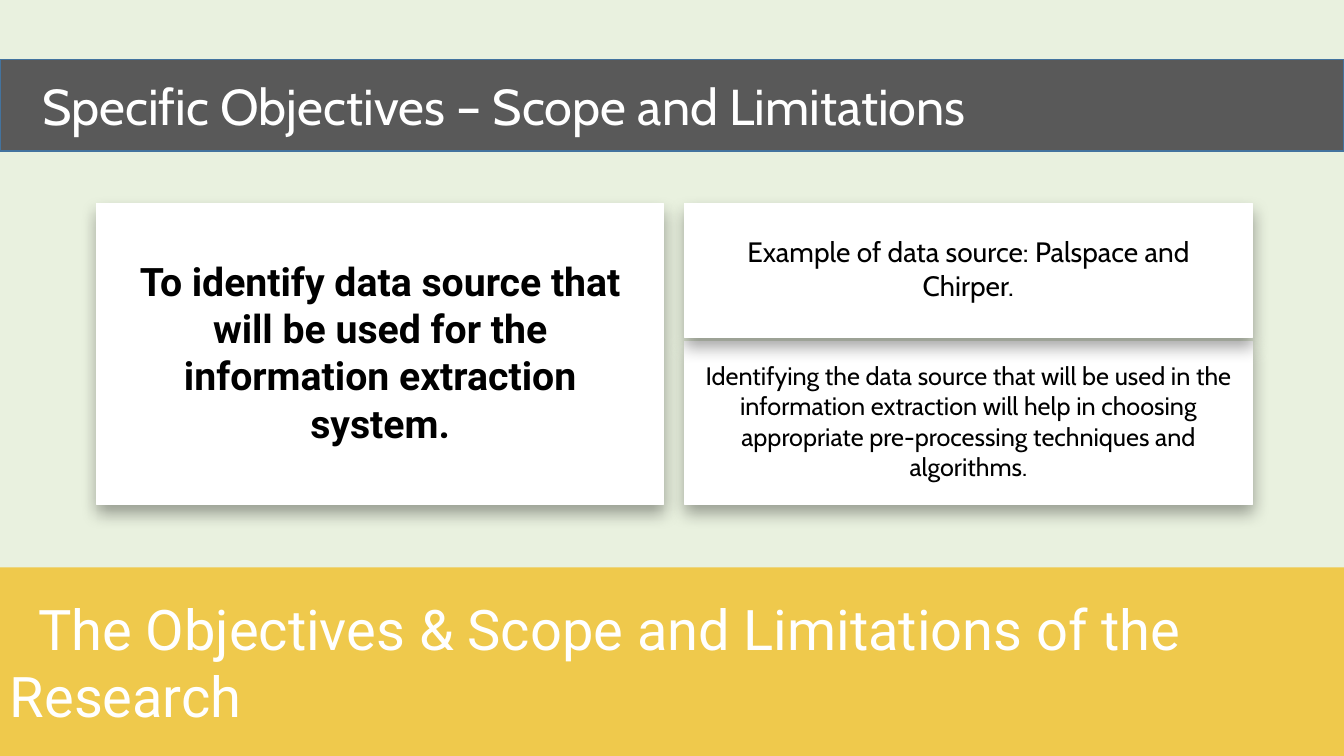
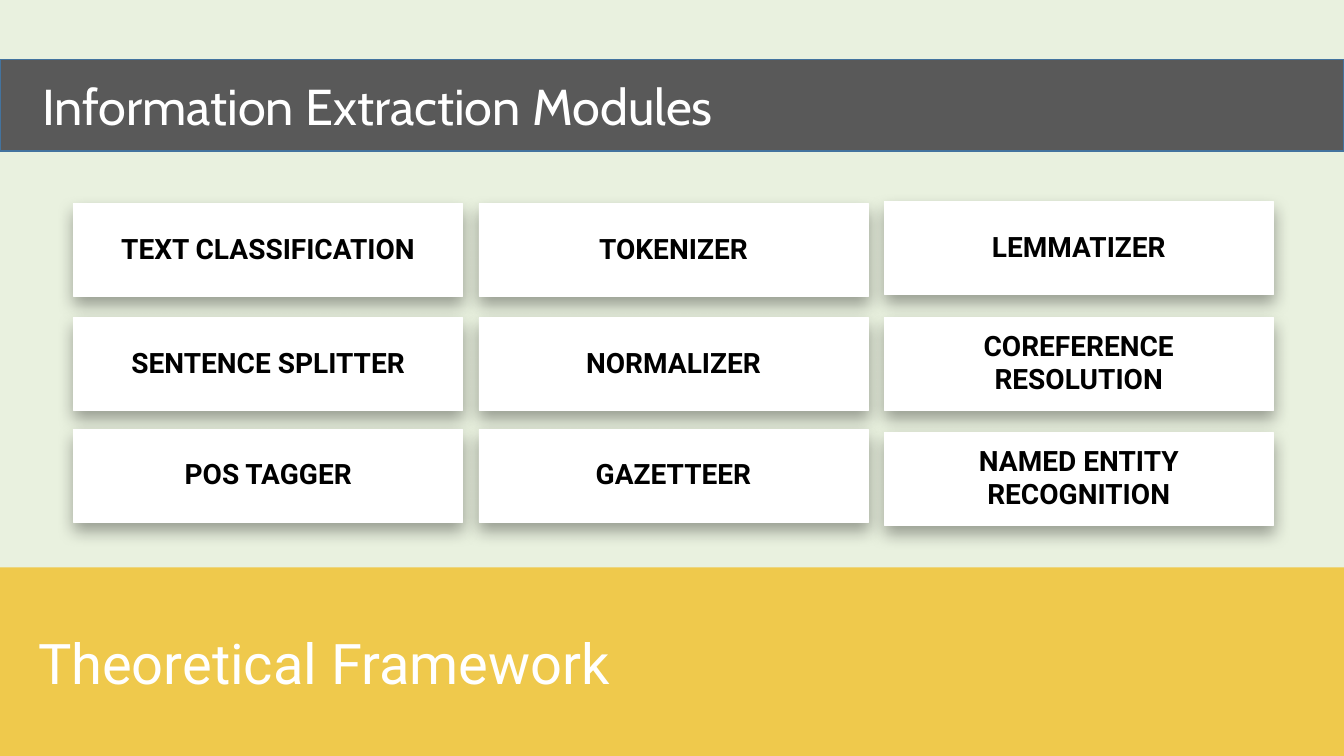
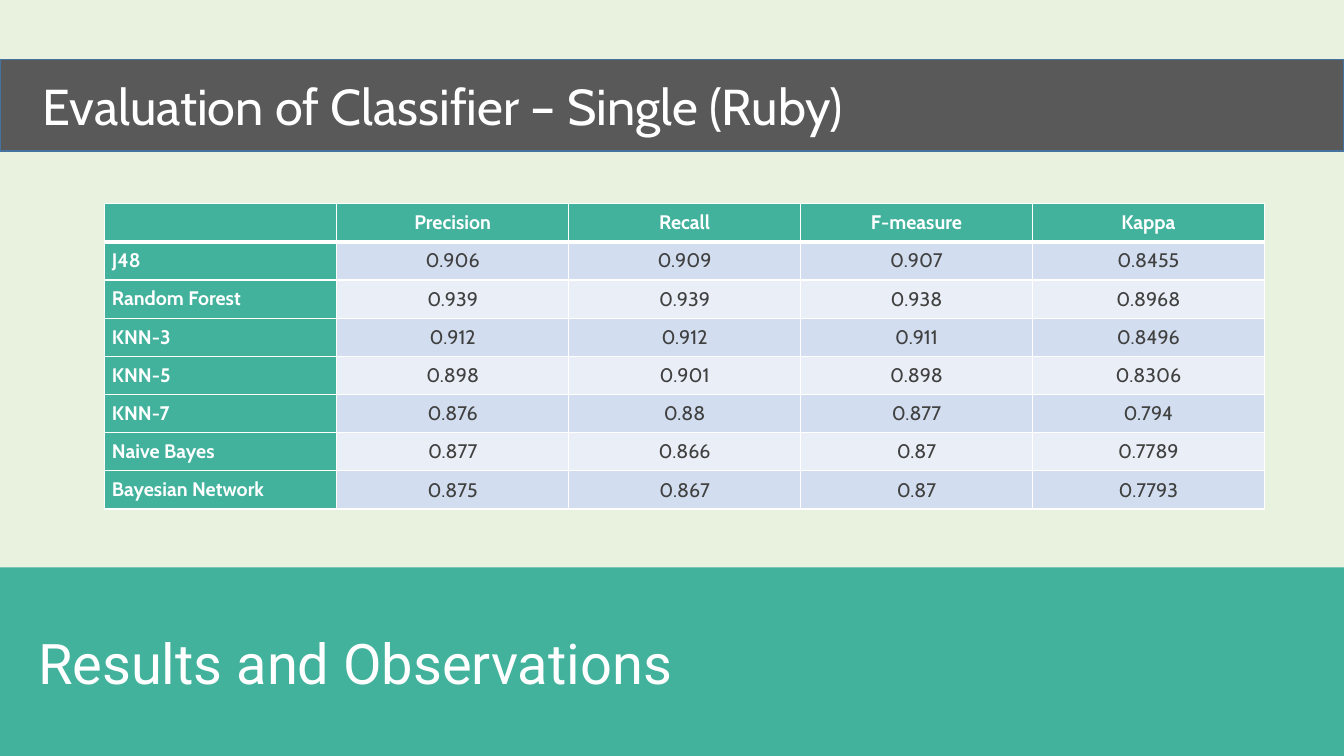
from lxml.etree import SubElement
from pptx import Presentation
from pptx.dml.color import RGBColor
from pptx.enum.shapes import MSO_SHAPE
from pptx.enum.text import MSO_ANCHOR, MSO_AUTO_SIZE, PP_ALIGN
from pptx.oxml import parse_xml
from pptx.oxml.ns import nsdecls, qn
from pptx.util import Inches, Pt

WHITE, BLACK, INK = "FFFFFF", "000000", "404040"
PAPER, GRAY, EDGE = "E9F1DF", "595959", "43739E"
GOLD, TEAL = "EFC94C", "42B29D"
STRIPES = "D2DEEF", "EAEFF7"
HEAD, BODY = "Roboto", "Cabin"
WIDTH = 13.33

SHADOW = (f'<a:effectLst {nsdecls("a")}><a:outerShdw blurRad="{Pt(12)}" '
          f'dist="{Pt(6)}" dir="5400000" algn="ctr" rotWithShape="0">'
          '<a:srgbClr val="000000"><a:alpha val="35000"/></a:srgbClr>'
          '</a:outerShdw></a:effectLst>')


def color(code):
    return RGBColor.from_string(code)


def paint(item, code):
    item.fill.solid()
    item.fill.fore_color.rgb = color(code)


class Deck:
    """Shared style and the current slide."""

    def __init__(self):
        self.prs = Presentation()
        self.prs.slide_width = Inches(WIDTH)
        self.prs.slide_height = Inches(7.5)
        paint(self.prs.slide_master.background, PAPER)

    def add(self, title, footer, tone):
        """Start a slide with its title band and section band."""
        self.slide = self.prs.slides.add_slide(self.prs.slide_layouts[5])
        band = self.box(0, 5.63, WIDTH, 1.87, tone)
        band.line.fill.background()
        self.label(band.text_frame, footer, 40, HEAD, WHITE, indent=0.28)

        head = self.slide.shapes.title
        head.left, head.top = Inches(0), Inches(0.59)
        head.width, head.height = Inches(WIDTH), Inches(0.91)
        paint(head, GRAY)
        self.edge(head, EDGE, 1)
        self.label(head.text_frame, title, 36, BODY, WHITE, indent=0.32)

    def box(self, x, y, w, h, fill):
        shape = self.slide.shapes.add_shape(
            MSO_SHAPE.RECTANGLE, Inches(x), Inches(y), Inches(w), Inches(h))
        shape.shadow.inherit = False
        paint(shape, fill)
        return shape

    def edge(self, shape, code, width):
        shape.line.color.rgb = color(code)
        shape.line.width = Pt(width)

    def label(self, frame, text, size, font, code, bold=False,
              align=PP_ALIGN.LEFT, indent=0):
        frame.text = text
        frame.word_wrap = True
        frame.auto_size = MSO_AUTO_SIZE.NONE
        frame.vertical_anchor = MSO_ANCHOR.MIDDLE
        self.style(frame.paragraphs[0], size, font, code, bold, align)
        if indent:
            props = frame.paragraphs[0]._p.get_or_add_pPr()
            props.set("marL", "0")
            props.set("indent", str(Inches(indent)))

    def style(self, para, size, font, code, bold, align):
        para.alignment = align
        for run in para.runs:
            run.font.size, run.font.name = Pt(size), font
            run.font.bold, run.font.color.rgb = bold, color(code)

    def card(self, x, y, w, h, text, size, font=HEAD, bold=True):
        """White card with a soft shadow and centred text."""
        shape = self.box(x, y, w, h, WHITE)
        self.edge(shape, WHITE, 0.5)
        props = shape._element.spPr
        props.replace(props.find(qn("a:effectLst")), parse_xml(SHADOW))
        frame = shape.text_frame
        frame.margin_left = frame.margin_right = Inches(0.18)
        frame.margin_bottom = Inches(0.09)
        self.label(frame, text, size, font, BLACK, bold, PP_ALIGN.CENTER)

    def border(self, cell, low):
        """White cell borders; low is the width of the bottom one."""
        props = cell._tc.get_or_add_tcPr()
        for spot, (side, width) in enumerate(
                [("L", 1), ("R", 1), ("T", 1), ("B", low)]):
            props.insert(spot, parse_xml(
                f'<a:ln{side} {nsdecls("a")} w="{Pt(width)}"><a:solidFill>'
                f'<a:srgbClr val="{WHITE}"/></a:solidFill></a:ln{side}>'))

    def table(self, x, y, w, h, rows):
        grid = self.slide.shapes.add_table(
            len(rows), len(rows[0]),
            Inches(x), Inches(y), Inches(w), Inches(h)).table
        for r, row in enumerate(rows):
            for c, text in enumerate(row):
                cell = grid.cell(r, c)
                cell.text = text
                cell.margin_left = cell.margin_right = Inches(0.07)
                cell.margin_top = cell.margin_bottom = Inches(0.07)
                named = r == 0 or c == 0
                cell.vertical_anchor = (
                    MSO_ANCHOR.TOP if named else MSO_ANCHOR.MIDDLE)
                paint(cell, TEAL if named else STRIPES[(r - 1) % 2])
                self.border(cell, 1 if r else 3)
                para = cell.text_frame.paragraphs[0]
                self.style(para, 14, BODY, WHITE if named else INK, named,
                           PP_ALIGN.CENTER if c else PP_ALIGN.JUSTIFY)
                if not text:  # keeps the empty cell from growing its row
                    SubElement(para._p, qn("a:endParaRPr")).set("sz", "1400")


def main():
    deck = Deck()

    # Objectives
    deck.add("Specific Objectives – Scope and Limitations",
             "The Objectives & Scope and Limitations of the Research", GOLD)
    deck.card(0.96, 2.02, 5.62, 2.98,
              "To identify data source that will be used for the "
              "information extraction system.", 28)
    deck.card(6.79, 3.39, 5.63, 1.61,
              "Identifying the data source that will be used in the "
              "information extraction will help in choosing appropriate "
              "pre-processing techniques and algorithms.", 18, BODY, False)
    deck.card(6.79, 2.02, 5.63, 1.33,
              "Example of data source: Palspace and Chirper.",
              20, BODY, False)

    # Modules: three columns, each with its own row tops
    deck.add("Information Extraction Modules", "Theoretical Framework", GOLD)
    left = 2.02, 3.15, 4.26
    right = 2, 3.15, 4.29
    columns = [
        (left, ["TEXT CLASSIFICATION", "SENTENCE SPLITTER", "POS TAGGER"]),
        (left, ["TOKENIZER", "NORMALIZER", "GAZETTEER"]),
        (right, ["LEMMATIZER", "COREFERENCE RESOLUTION",
                 "NAMED ENTITY RECOGNITION"]),
    ]
    for c, (tops, names) in enumerate(columns):
        for top, name in zip(tops, names):
            deck.card(0.73 + 4.02 * c, top, 3.86, 0.92, name, 20)

    # Results
    deck.add("Evaluation of Classifier – Single (Ruby)",
             "Results and Observations", TEAL)
    deck.table(1.04, 2.02, 11.5, 3.03, [
        ["", "Precision", "Recall", "F-measure", "Kappa"],
        ["J48", "0.906", "0.909", "0.907", "0.8455"],
        ["Random Forest", "0.939", "0.939", "0.938", "0.8968"],
        ["KNN-3", "0.912", "0.912", "0.911", "0.8496"],
        ["KNN-5", "0.898", "0.901", "0.898", "0.8306"],
        ["KNN-7", "0.876", "0.88", "0.877", "0.794"],
        ["Naive Bayes", "0.877", "0.866", "0.87", "0.7789"],
        ["Bayesian Network", "0.875", "0.867", "0.87", "0.7793"],
    ])

    deck.prs.save("out.pptx")


if __name__ == "__main__":
    main()
